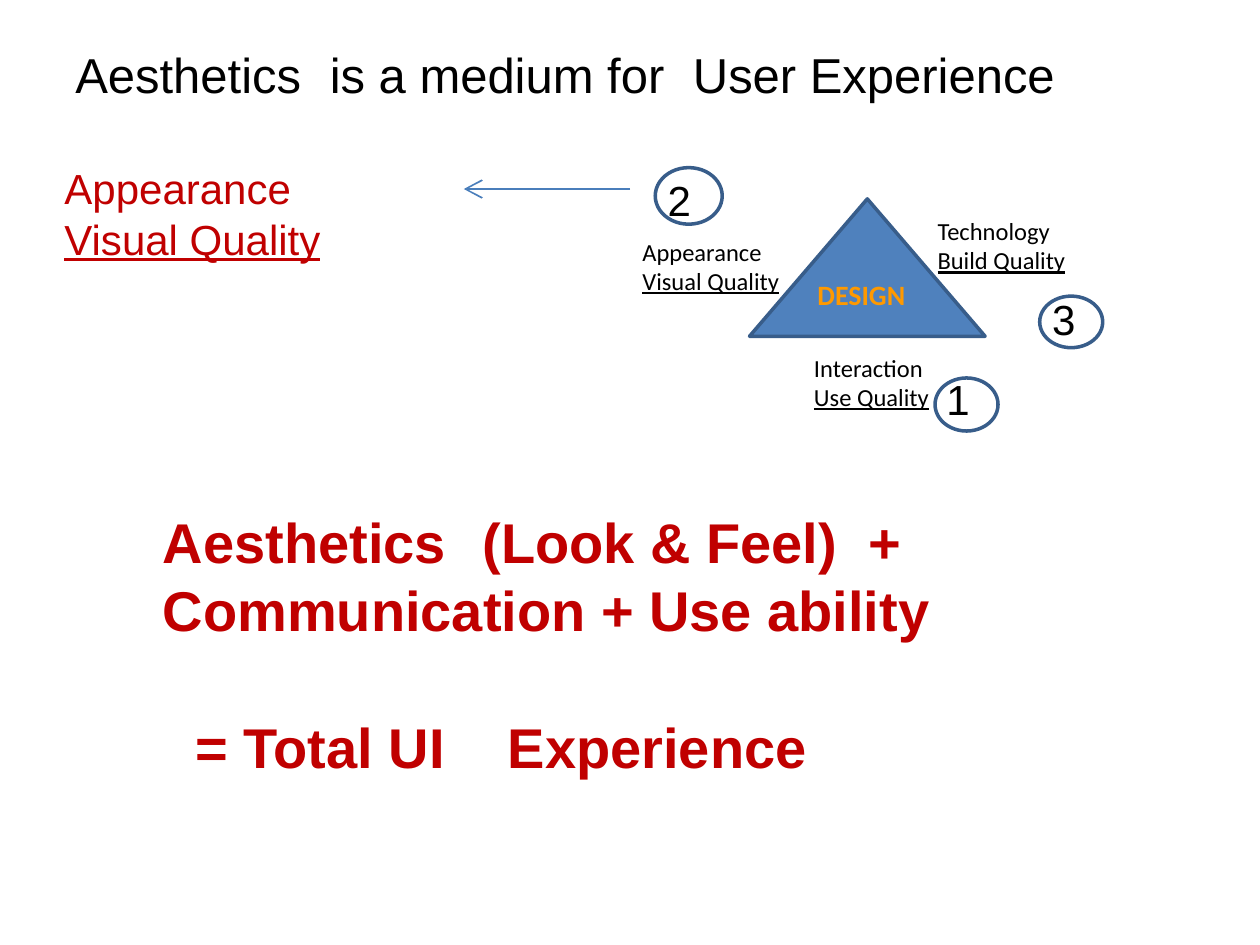
from dataclasses import dataclass

from lxml.etree import SubElement
from pptx import Presentation
from pptx.dml.color import RGBColor as RGB
from pptx.enum.shapes import MSO_CONNECTOR as LINK, MSO_SHAPE as FORM
from pptx.oxml.ns import qn
from pptx.util import Cm, Pt


@dataclass(frozen=True)
class Theme:
    # Colours
    black: str = "000000"
    red: str = "C00000"
    gold: str = "FF9900"
    blue: str = "4F81BD"
    edge: str = "385D8A"
    arrow: str = "4A7EBB"
    # Fonts
    main: str = "Arial"
    small: str = "Calibri"
    # Type sizes in points
    title: int = 28
    big: int = 32
    mid: int = 24
    core: int = 16
    label: int = 14
    lead: float = 1.2


class Deck:
    def __init__(self, theme):
        self.theme = theme
        self.prs = Presentation()
        self.prs.slide_width, self.prs.slide_height = Cm(25.4), Cm(19.05)
        self.slide = self.prs.slides.add_slide(self.prs.slide_layouts[6])

    def text(self, words, x, y, w, size, color=None, font=None, bold=False,
             under=False, tabs=(), gap=0, indent=0):
        """Text box; under marks the second line, gap and indent the second paragraph."""
        t = self.theme
        lines = words.count("\n") + words.count("\v") + 1
        box = self.slide.shapes.add_textbox(
            Cm(x), Cm(y), Cm(w), Pt(size * t.lead * lines + gap))
        frame = box.text_frame
        frame.word_wrap = True
        frame.margin_left = frame.margin_right = 0
        frame.margin_top = frame.margin_bottom = 0
        frame.text = words
        for i, para in enumerate(frame.paragraphs):
            if i < len(tabs):
                self.tabs(para, tabs[i])
            para.line_spacing = Pt(round(size * t.lead, 1))
            if i:
                para.space_before = Pt(gap)
                para._p.get_or_add_pPr().set("marL", str(Cm(indent)))
            for j, run in enumerate(para.runs):
                run.font.name = font or t.main
                run.font.size = Pt(size)
                run.font.bold = bold
                run.font.underline = under and j == 1
                run.font.color.rgb = RGB.from_string(color or t.black)

    def tabs(self, para, stops):
        stop_list = SubElement(para._p.get_or_add_pPr(), qn("a:tabLst"))
        for stop in stops:
            SubElement(stop_list, qn("a:tab"), pos=str(Cm(stop)), algn="l")

    def shape(self, form, x, y, w, h, fill=None):
        item = self.slide.shapes.add_shape(form, Cm(x), Cm(y), Cm(w), Cm(h))
        item.shadow.inherit = False
        if fill:
            item.fill.solid()
            item.fill.fore_color.rgb = RGB.from_string(fill)
        else:
            item.fill.background()
        item.line.color.rgb = RGB.from_string(self.theme.edge)
        item.line.width = Pt(2)

    def arrow(self, x1, y1, x2, y2):
        item = self.slide.shapes.add_connector(
            LINK.STRAIGHT, Cm(x1), Cm(y1), Cm(x2), Cm(y2))
        item.line.color.rgb = RGB.from_string(self.theme.arrow)
        item.line.width = Pt(1)
        SubElement(item.line._get_or_add_ln(), qn("a:tailEnd"),
                   type="arrow", w="lg", len="lg")
        SubElement(item._element.spPr, qn("a:effectLst"))


def main():
    t = Theme()
    deck = Deck(t)

    # Title
    deck.text("Aesthetics\tis a medium for\tUser Experience",
              1.52, 0.9, 21, t.title, tabs=[(5.13, 12.45)])

    # Callout on the left
    deck.text("Appearance\vVisual Quality", 1.3, 3.28, 6, t.mid, t.red, under=True)
    deck.arrow(12.7, 3.81, 9.35, 3.81)

    # Design triangle
    deck.shape(FORM.ISOSCELES_TRIANGLE, 15.11, 4.01, 4.75, 2.77, t.blue)
    deck.text("DESIGN", 16.48, 5.59, 2.2, t.core, t.gold, t.small, bold=True)

    # Labels at its sides
    for words, x, y in (("Interaction\vUse Quality", 16.41, 7.11),
                        ("Technology\vBuild Quality", 18.9, 4.35),
                        ("Appearance\vVisual Quality", 12.95, 4.77)):
        deck.text(words, x, y, 3, t.label, font=t.small, under=True)

    # Circled numbers: oval, then place of the digit
    for digit, oval, x, y in (("1", (18.85, 7.62, 1.27, 1.07), 19.08, 7.52),
                              ("2", (13.21, 3.38, 1.35, 1.14), 13.46, 3.52),
                              ("3", (20.96, 5.97, 1.27, 1.04), 21.21, 5.92)):
        deck.shape(FORM.OVAL, *oval)
        deck.text(digit, x, y, 0.6, t.mid)

    # Equation
    deck.text("Aesthetics\t(Look & Feel)\t+\vCommunication + Use ability\n"
              "= Total UI\tExperience",
              3.28, 10.24, 16.5, t.big, t.red, bold=True,
              tabs=[(6.45, 14.22), (6.3,)], gap=40, indent=0.66)

    deck.prs.save("out.pptx")


if __name__ == "__main__":
    main()
